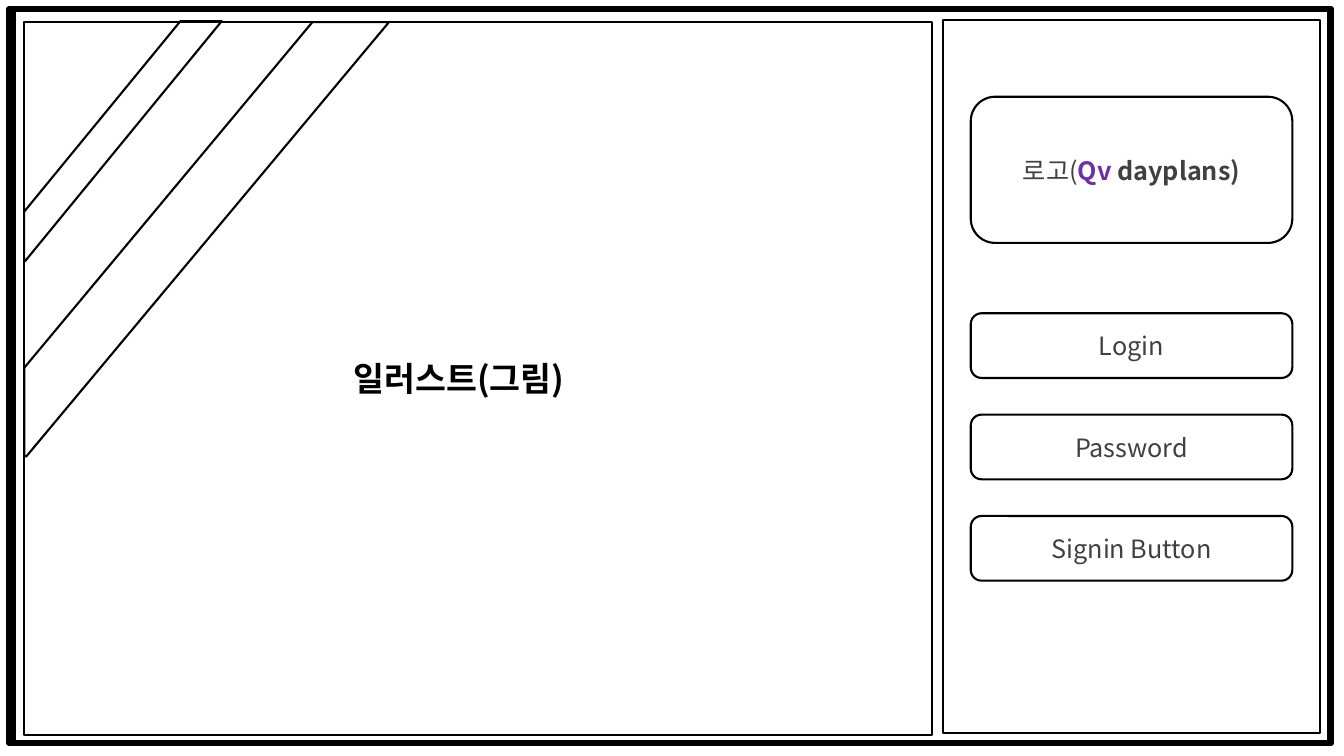
"""Build the login screen wireframe slide."""
from lxml import etree
from pptx import Presentation
from pptx import util as u
from pptx.dml import color
from pptx.enum import shapes, text
from pptx.oxml import ns

FONT, BLACK, GREY, PURPLE = "Noto Sans CJK KR", "000000", "404040", "7030A0"
FRAME_RIGHT, FRAME_TOP, FRAME_HEIGHT = 950.4, 6.5, 524.2
FRAME_LEFTS = [6.5, 9.4]
LOGIN_PANEL = (673.9, 14.4, 269.3, 509)
ILLUSTRATION = (17.3, 15.8, 648.7, 509)
CAPTION_BOX = (245.5, 252, 213, 36)
CAPTION = [("일러스트(그림)", BLACK, True)]
LOGO = [("로고(", GREY, False), ("Qv ", PURPLE, True), ("dayplans)", GREY, True)]
FIELDS = ["Login", "Password", "Signin Button"]
FIELD_LEFT, FIELD_WIDTH, FIELD_HEIGHT = 693.4, 229.7, 46.2
FIELD_TOP, FIELD_PITCH = 223.8, 72.4
LOGO_TOP, LOGO_HEIGHT = 69.1, 104.4
WIDE_STRIPE = [(223.2, 15.8), (277.9, 15.8), (18.7, 326.2), (17.3, 325.4), (17.3, 262.8)]
NARROW_STRIPE = [(128.9, 15.1), (158.4, 15.1), (18, 186.5), (17.3, 185.8), (17.3, 151.2)]


def rgb(value):
    return color.RGBColor.from_string(value)


def outline(sp, width=1.5):
    sp.shadow.inherit = False
    sp.fill.background()
    sp.line.color.rgb = rgb(BLACK)
    sp.line.width = u.Pt(width)
    return sp


def box(area, kind=shapes.MSO_SHAPE.RECTANGLE, width=1.5):
    return outline(s.shapes.add_shape(kind, *map(u.Pt, area)), width)


def stripe(points):
    start, *rest = [(u.Pt(x), u.Pt(y)) for x, y in points]
    builder = s.shapes.build_freeform(*start)
    builder.add_line_segments(rest, close=True)
    outline(builder.convert_to_shape())


def write(p, runs, size):
    for words, hue, bold in runs:
        r = p.add_run()
        r.text = words
        r.font.size, r.font.bold, r.font.name = u.Pt(size), bold, FONT
        r.font.color.rgb = rgb(hue)
        etree.SubElement(r.font._element, ns.qn("a:ea"), typeface=FONT)


def button(top, height, runs):
    sp = box((FIELD_LEFT, top, FIELD_WIDTH, height), shapes.MSO_SHAPE.ROUNDED_RECTANGLE)
    tf = sp.text_frame
    tf.vertical_anchor = text.MSO_ANCHOR.MIDDLE
    p = tf.paragraphs[0]
    p.alignment = text.PP_ALIGN.CENTER
    write(p, runs, 18)
    return p


prs = Presentation()
prs.slide_width, prs.slide_height = u.Pt(960), u.Pt(540)
s = prs.slides.add_slide(prs.slide_layouts[6])

for left in FRAME_LEFTS:
    box((left, FRAME_TOP, FRAME_RIGHT - left, FRAME_HEIGHT), width=4.5)
box(LOGIN_PANEL)
stripe(WIDE_STRIPE)
for i, label in enumerate(FIELDS):
    button(FIELD_TOP + i * FIELD_PITCH, FIELD_HEIGHT, [(label, GREY, False)])
stripe(NARROW_STRIPE)
logo = button(LOGO_TOP, LOGO_HEIGHT, LOGO)
logo.line_spacing, logo.space_after = 1.07, u.Pt(8)

tf = s.shapes.add_textbox(*map(u.Pt, CAPTION_BOX)).text_frame
tf.word_wrap = True
tf.auto_size = text.MSO_AUTO_SIZE.SHAPE_TO_FIT_TEXT
write(tf.paragraphs[0], CAPTION, 24)
box(ILLUSTRATION)

prs.save("out.pptx")
